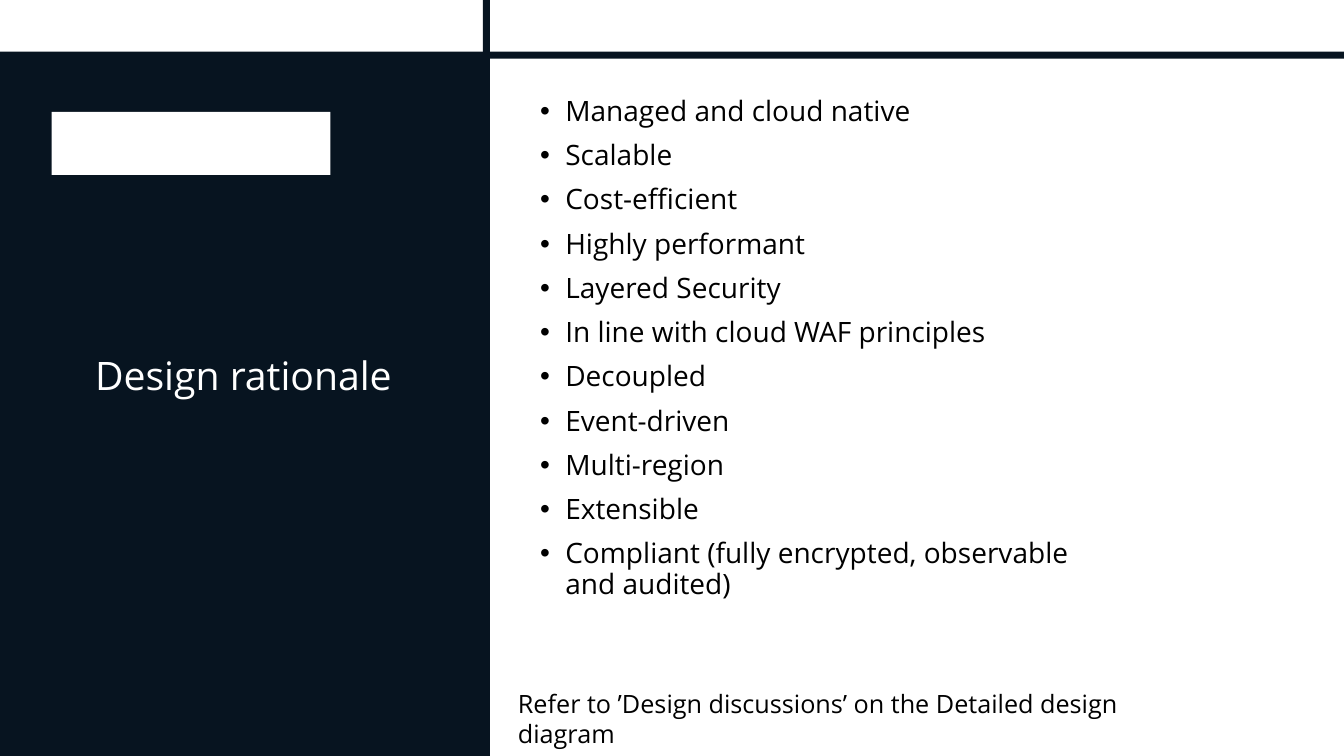
from dataclasses import dataclass

from lxml.etree import SubElement
from pptx import Presentation
from pptx.dml.color import RGBColor
from pptx.enum.shapes import MSO_SHAPE as SHAPE
from pptx.enum.text import MSO_ANCHOR as ANCHOR, PP_ALIGN as ALIGN
from pptx.oxml.ns import qn
from pptx.util import Pt


@dataclass(frozen=True)
class Theme:
    navy: RGBColor = RGBColor(0x07, 0x14, 0x20)
    white: RGBColor = RGBColor(0xFF, 0xFF, 0xFF)
    black: RGBColor = RGBColor(0, 0, 0)
    font: str = "Open Sans"
    title_size: int = 28
    body_size: int = 20
    note_size: int = 18


THEME = Theme()
WIDTH, HEIGHT = 960, 540
BAR = 5

PRINCIPLES = [
    "Managed and cloud native",
    "Scalable",
    "Cost-efficient",
    "Highly performant",
    "Layered Security",
    "In line with cloud WAF principles",
    "Decoupled",
    "Event-driven",
    "Multi-region",
    "Extensible",
    "Compliant (fully encrypted, observable and audited)",
]


def apply(target, values):
    for name, value in values.items():
        setattr(target, name, value)


def add_block(s, x, y, w, h, color=THEME.navy):
    sp = s.shapes.add_shape(SHAPE.RECTANGLE, Pt(x), Pt(y), Pt(w), Pt(h))
    sp.shadow.inherit = False
    sp.fill.solid()
    sp.fill.fore_color.rgb = color
    sp.line.fill.background()


def add_text_frame(s, x, y, w, h, **frame_format):
    tf = s.shapes.add_textbox(Pt(x), Pt(y), Pt(w), Pt(h)).text_frame
    apply(tf, {"word_wrap": True, **frame_format})
    return tf


def add_run(p, text, size, color):
    r = p.add_run()
    r.text = text
    apply(r.font, {"size": Pt(size), "name": THEME.font})
    r.font.color.rgb = color


def add_bullet(p, indent):
    pPr = p._p.get_or_add_pPr()
    pPr.set("marL", str(Pt(indent)))
    pPr.set("indent", str(-Pt(indent)))
    SubElement(pPr, qn("a:buFont"), typeface="Arial")
    SubElement(pPr, qn("a:buChar"), char="•")


def add_bullet_list(tf, items):
    for i, item in enumerate(items):
        p = tf.add_paragraph() if i else tf.paragraphs[0]
        apply(p, {"line_spacing": 0.9, "space_before": Pt(10)})
        add_bullet(p, 18)
        add_run(p, item, THEME.body_size, THEME.black)


def main():
    prs = Presentation()
    apply(prs, {"slide_width": Pt(WIDTH), "slide_height": Pt(HEIGHT)})
    s = prs.slides.add_slide(prs.slide_layouts[6])

    add_block(s, 0, 40, 350, HEIGHT - 40)
    add_block(s, 345, 0, BAR, HEIGHT)
    add_block(s, 0, 37, WIDTH, BAR)
    add_block(s, 37, 80, 199, 45, THEME.white)

    title = add_text_frame(s, 47.5, 60.5, 252.7, 419, vertical_anchor=ANCHOR.MIDDLE)
    p = title.paragraphs[0]
    apply(p, {"alignment": ALIGN.CENTER, "line_spacing": 0.9})
    add_run(p, "Design rationale", THEME.title_size, THEME.white)

    note = add_text_frame(s, 362.9, 488.2, 494.6, 29)
    add_run(note.paragraphs[0],
            "Refer to ’Design discussions’ on the Detailed design diagram",
            THEME.note_size, THEME.black)

    principles = add_text_frame(s, 378.7, 50.4, 416.2, 419,
                                vertical_anchor=ANCHOR.MIDDLE, margin_bottom=Pt(25.2))
    add_bullet_list(principles, PRINCIPLES)

    prs.save("out.pptx")


if __name__ == "__main__":
    main()
